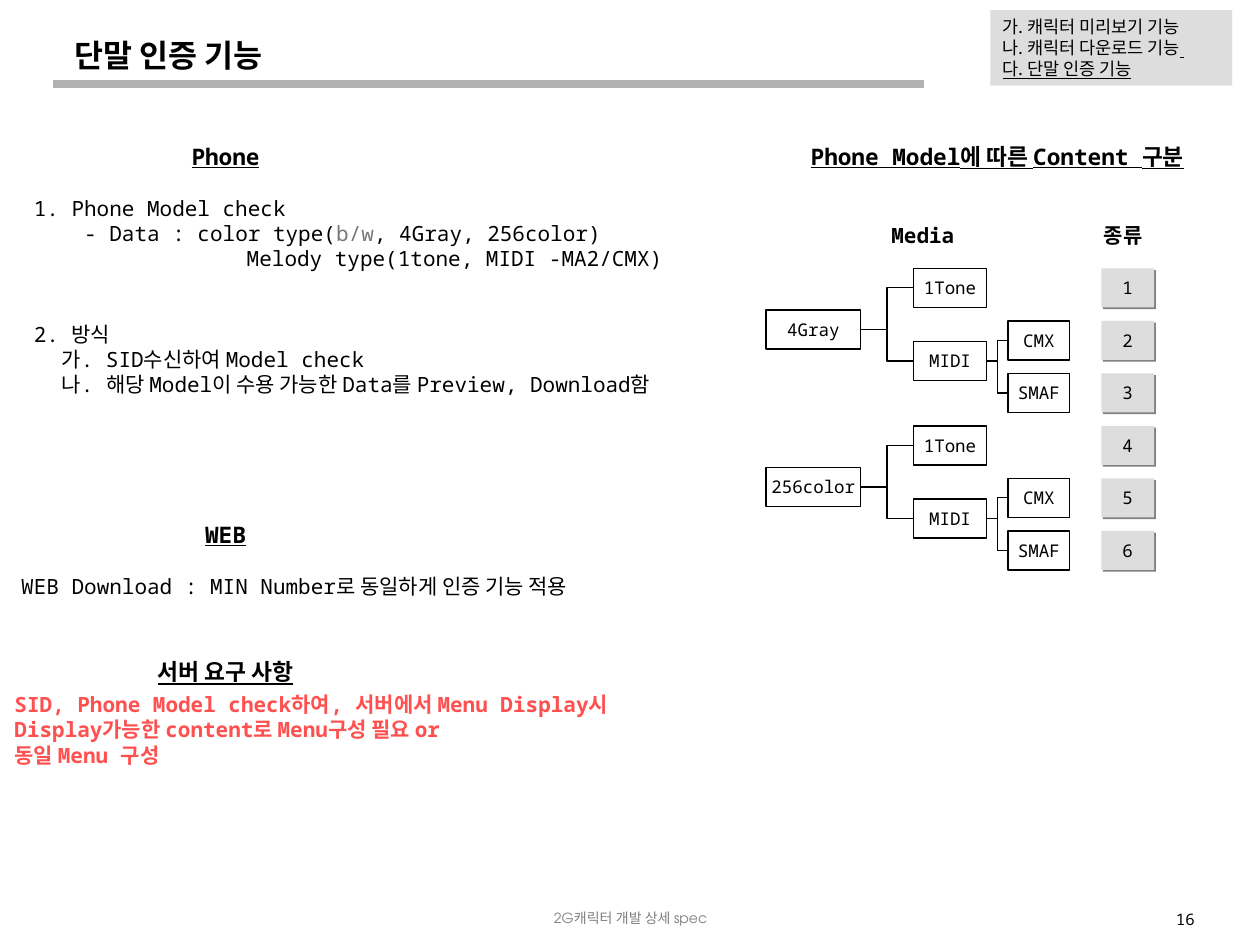
from lxml import etree
from pptx import Presentation
from pptx.dml.color import RGBColor
from pptx.enum.shapes import MSO_CONNECTOR, MSO_SHAPE
from pptx.enum.text import MSO_ANCHOR, PP_ALIGN
from pptx.oxml.ns import qn
from pptx.util import Inches, Pt

RECT, ROUND = MSO_SHAPE.RECTANGLE, MSO_SHAPE.ROUNDED_RECTANGLE
ELBOW, LINE = MSO_CONNECTOR.ELBOW, MSO_CONNECTOR.STRAIGHT
LEFT, MID, RIGHT = PP_ALIGN.LEFT, PP_ALIGN.CENTER, PP_ALIGN.RIGHT
TOP, CENTER = MSO_ANCHOR.TOP, MSO_ANCHOR.MIDDLE
MONO, KOREAN, FOOT = "Noto Sans Mono", "Noto Sans CJK KR", "TeX Gyre Adventor"
BLACK, GRAY = "000000", "DDDDDD"
BOX_H = 0.31
STEP = 1.25 / 3


def color(code):
    return RGBColor.from_string(code)


def write(shape, lines, size=12, face=MONO, ink=BLACK, bold=False,
          under=False, align=LEFT, anchor=TOP, wrap=True):
    frame = shape.text_frame
    frame.word_wrap = wrap
    frame.vertical_anchor = anchor
    for i, line in enumerate(lines):
        para = frame.paragraphs[0] if i == 0 else frame.add_paragraph()
        para.alignment = align
        font = para.font
        font.size, font.name, font.bold = Pt(size), face, bold
        font.color.rgb = color(ink)
        if under:
            font.underline = True
        east = etree.SubElement(font._element, qn("a:ea"))
        east.set("typeface", KOREAN)
        for part in [line] if isinstance(line, str) else line:
            para.add_run().text = part
    return frame.paragraphs


def text(slide, box, lines, **style):
    shape = slide.shapes.add_textbox(*map(Inches, box))
    return write(shape, lines, **style)


def block(slide, box, fill=None, line=None, kind=RECT):
    shape = slide.shapes.add_shape(kind, *map(Inches, box))
    shape.shadow.inherit = False
    if fill:
        shape.fill.solid()
        shape.fill.fore_color.rgb = color(fill)
    else:
        shape.fill.background()
    if line:
        shape.line.color.rgb = color(line)
        shape.line.width = Pt(0.75)
    else:
        shape.line.fill.background()
    return shape


def link(slide, kind, ends, ink, width):
    wire = slide.shapes.add_connector(kind, *map(Inches, ends))
    wire.line.color.rgb = color(ink)
    wire.line.width = Pt(width)
    etree.SubElement(wire._element.spPr, qn("a:effectLst"))
    return wire


def indent(para, size):
    para._p.get_or_add_pPr().set("indent", str(Inches(size)))


def shade(shape):
    effect = shape._element.spPr.find(qn("a:effectLst"))
    outer = etree.SubElement(effect, qn("a:outerShdw"), dist=str(Pt(1.4)),
                             dir="2700000", algn="ctr", rotWithShape="0")
    etree.SubElement(outer, qn("a:srgbClr"), val="808080")


def header(slide, left, top):
    link(slide, LINE, (left, top + 0.59, left + 6.91, top + 0.59), "B2B2B2", 4.5)
    text(slide, (left + 0.07, top + 0.16, 3.25, 0.4), ["단말 인증 기능"],
         size=18, bold=True)
    menu = block(slide, (left + 7.44, top, 1.92, 0.6), fill=GRAY)
    paras = write(menu, ["가. 캐릭터 미리보기 기능",
                         ["나. 캐릭터 다운로드 기능", " "],
                         "다. 단말 인증 기능"], size=10, face=KOREAN)
    paras[1].runs[1].font.underline = True
    paras[2].font.underline = True


def title(slide, box, label):
    text(slide, box, [label], size=13, bold=True, under=True, align=MID)


def phone(slide, left, top):
    title(slide, (left + 0.91, top, 1.42, 0.32), "Phone")
    check = text(slide, (left, top + 0.42, 5.33, 0.7), [
        "1. Phone Model check",
        ["- Data : color type(", "b/w", ", 4Gray, 256color)"],
        "Melody type(1tone, MIDI -MA2/CMX)"])
    check[1].runs[1].font.color.rgb = color("777777")
    indent(check[1], 0.4)
    indent(check[2], 1.69)
    method = text(slide, (left, top + 1.42, 5.33, 0.7), [
        "2. 방식",
        "가. SID수신하여 Model check",
        "나. 해당 Model이 수용 가능한 Data를 Preview, Download함"])
    for para in method[1:]:
        indent(para, 0.22)


def web(slide, left, top):
    title(slide, (left + 1.01, top, 1.42, 0.32), "WEB")
    text(slide, (left, top + 0.42, 5.18, 0.3),
         ["WEB Download : MIN Number로 동일하게 인증 기능 적용"])


def server(slide, left, top):
    title(slide, (left + 1.08, top, 1.42, 0.32), "서버 요구 사항")
    need = block(slide, (left, top + 0.16, 4.58, 0.92), kind=ROUND)
    need.adjustments[0] = 0.06
    write(need, ["SID, Phone Model check하여, 서버에서 Menu Display시",
                 "Display가능한 content로 Menu구성 필요 or",
                 "동일 Menu 구성"],
          ink="FF5050", bold=True, anchor=CENTER, wrap=False)


def node(slide, left, top, width, label):
    shape = block(slide, (left, top, width, BOX_H), line=BLACK)
    write(shape, [label], size=10, align=MID, anchor=CENTER, wrap=False)
    return shape


def tree(slide, left, top, label):
    root = node(slide, left, top + 0.33, 0.75, label)
    tone = node(slide, left + 1.17, top, 0.58, "1Tone")
    midi = node(slide, left + 1.17, top + 0.58, 0.58, "MIDI")
    cmx = node(slide, left + 1.92, top + STEP, 0.49, "CMX")
    smaf = node(slide, left + 1.92, top + 2 * STEP, 0.49, "SMAF")
    for start, end in ((root, tone), (root, midi), (midi, cmx), (midi, smaf)):
        wire = link(slide, ELBOW, (0, 0, 0, 0), BLACK, 0.75)
        wire.begin_connect(start, 3)
        wire.end_connect(end, 1)


def models(slide, left, top):
    title(slide, (left, top, 3.67, 0.32), "Phone Model에 따른 Content 구분")
    for x, width, label in ((0.23, 2.03, "Media"), (2.5, 0.67, "종류")):
        text(slide, (left + x, top + 0.63, width, BOX_H), [label],
             bold=True, align=MID, anchor=CENTER, wrap=False)
    first = top + 1.05
    for i, label in enumerate(("4Gray", "256color")):
        tree(slide, left, first + 3 * i * STEP, label)
    for i in range(6):
        kind = block(slide, (left + 2.66, first + i * STEP, 0.42, BOX_H), fill=GRAY)
        shade(kind)
        write(kind, [str(i + 1)], size=10, align=MID, anchor=CENTER, wrap=False)


def footer(slide, left, top):
    text(slide, (left, top, 3.17, 0.25), ["2G캐릭터 개발 상세 spec"],
         size=8, face=FOOT, ink="808080", align=MID)
    text(slide, (left + 4.08, top, 2.08, 0.25), ["16"], size=9, align=RIGHT)


def main():
    deck = Presentation()
    deck.slide_width, deck.slide_height = Inches(10), Inches(7.5)
    slide = deck.slides.add_slide(deck.slide_layouts[6])
    header(slide, 0.42, 0.08)
    phone(slide, 0.17, 1.08)
    web(slide, 0.07, 4.08)
    server(slide, 0, 5.17)
    models(slide, 6.08, 1.08)
    footer(slide, 3.42, 7.17)
    deck.save("out.pptx")


if __name__ == "__main__":
    main()
